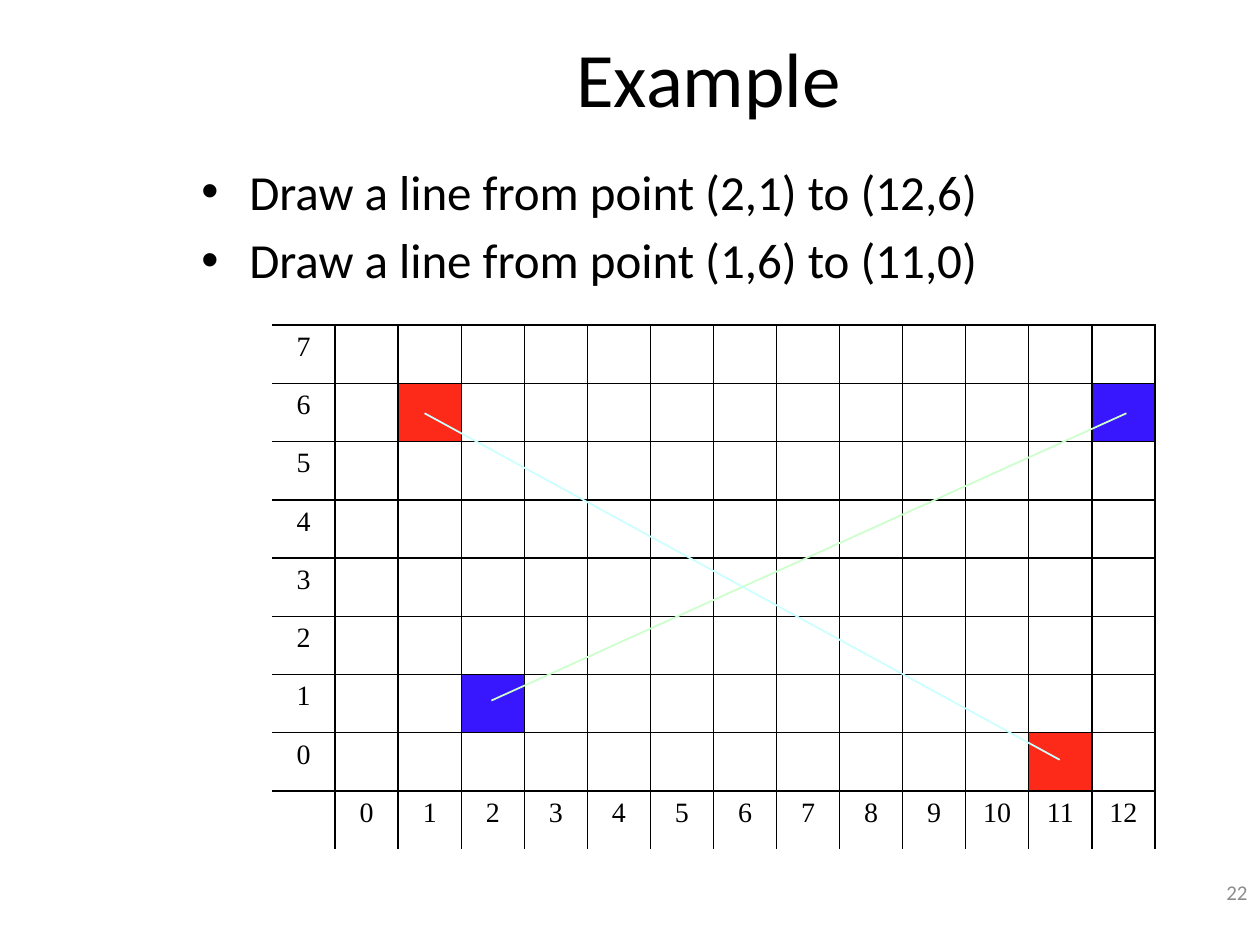
from lxml import etree
from pptx import Presentation
from pptx.dml.color import RGBColor
from pptx.enum.shapes import MSO_CONNECTOR as Conn
from pptx.enum.text import MSO_ANCHOR as Anchor, PP_ALIGN as Align
from pptx.oxml.ns import qn
from pptx.util import Inches, Pt

BLACK = RGBColor(0x00, 0x00, 0x00)
GRAY = RGBColor(0x8C, 0x8C, 0x8C)
RED = RGBColor(0xFD, 0x29, 0x19)
BLUE = RGBColor(0x38, 0x17, 0xFF)
GREEN = RGBColor(0xCC, 0xFF, 0xCC)
CYAN = RGBColor(0xCC, 0xFF, 0xFF)

# Content
TITLE = "Example"
TASKS = ["Draw a line from point (2,1) to (12,6)",
         "Draw a line from point (1,6) to (11,0)"]
PAGE = "22"
MAX_X, MAX_Y = 12, 7
PIXELS = {(2, 1): BLUE, (12, 6): BLUE, (1, 6): RED, (11, 0): RED}
LINES = [((3.9, 5.56), (8.94, 3.28), GREEN),
         ((3.37, 3.28), (8.41, 6.03), CYAN)]
GRID = (2.16, 2.58, 7.01, 4.16)

prs = Presentation()
prs.slide_width, prs.slide_height = Inches(10), Inches(7.5)
slide = prs.slides.add_slide(prs.slide_layouts[6])
shapes = slide.shapes


def style(para, size, color=BLACK, name="Calibri", align=Align.LEFT):
    para.alignment = align
    font = para.font
    font.size, font.name, font.color.rgb = Pt(size), name, color


def add_text(box, lines, size, color=BLACK, align=Align.LEFT,
             anchor=Anchor.MIDDLE, bullet=False):
    frame = shapes.add_textbox(*map(Inches, box)).text_frame
    frame.word_wrap = True
    frame.vertical_anchor = anchor
    frame.text = "\n".join(lines)
    for i, para in enumerate(frame.paragraphs):
        if bullet:
            props = para._p.get_or_add_pPr()
            props.set("marL", str(Inches(0.38)))
            props.set("indent", str(-Inches(0.38)))
            etree.SubElement(props, qn("a:buFont")).set("typeface", "Arial")
            etree.SubElement(props, qn("a:buChar")).set("char", "•")
        if i:
            para.space_before = Pt(size * 0.2)
        style(para, size, color, align=align)


def add_border(cell, side, shown):
    line = etree.SubElement(cell._tc.get_or_add_tcPr(), qn("a:ln" + side))
    line.set("w", str(Pt(1)))
    if shown:
        fill = etree.SubElement(line, qn("a:solidFill"))
        etree.SubElement(fill, qn("a:srgbClr")).set("val", str(BLACK))
    else:
        etree.SubElement(line, qn("a:noFill"))


# Title and tasks
add_text((1.5, 0.13, 8.25, 0.96), [TITLE], 44, align=Align.CENTER)
add_text((1.5, 1.23, 8.15, 1.34), TASKS, 28, anchor=Anchor.TOP, bullet=True)

# Pixel grid: y labels in the first column, x labels in the last row
rows, cols = MAX_Y + 2, MAX_X + 2
table = shapes.add_table(rows, cols, *map(Inches, GRID)).table
table.first_row = table.horz_banding = False
for col in table.columns:
    col.width = Inches(GRID[2] / cols)
for row in table.rows:
    row.height = Inches(GRID[3] / rows)

for r in range(rows):
    for c in range(cols):
        cell = table.cell(r, c)
        x, y = c - 1, MAX_Y - r
        for side, shown in (("L", x >= 0), ("R", True),
                            ("T", True), ("B", y >= 0)):
            add_border(cell, side, shown)
        if (x, y) in PIXELS:
            cell.fill.solid()
            cell.fill.fore_color.rgb = PIXELS[x, y]
        else:
            cell.fill.background()
        if (x < 0) != (y < 0):
            cell.text = str(max(x, y))
        style(cell.text_frame.paragraphs[0], 16, name="Times New Roman",
              align=Align.CENTER)

# Page number
add_text((7.92, 6.83, 2.08, 0.5), [PAGE], 12, GRAY, Align.RIGHT)

# Lines between the pixels
for start, end, color in LINES:
    line = shapes.add_connector(Conn.STRAIGHT, *map(Inches, start + end))
    line.line.color.rgb, line.line.width = color, Pt(1)
    etree.SubElement(line._element.spPr, qn("a:effectLst"))

prs.save("out.pptx")
